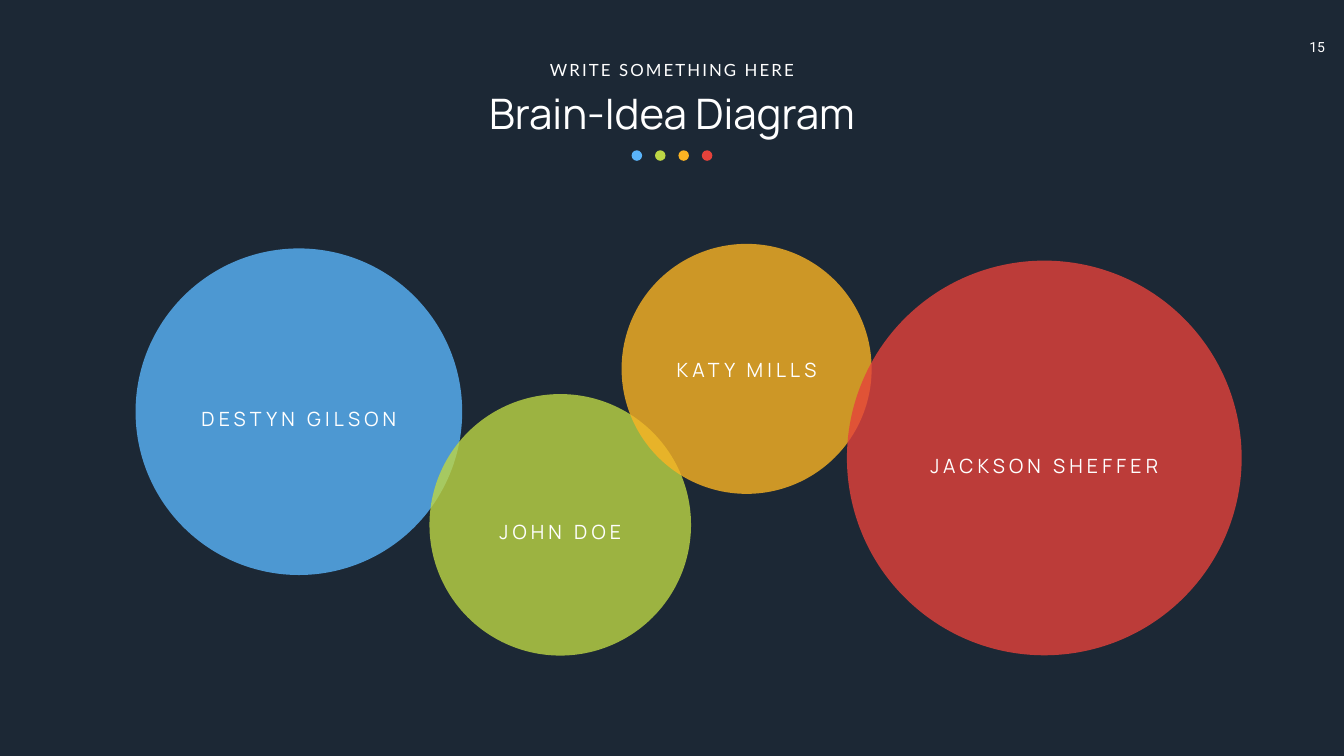
from dataclasses import dataclass

import pptx
import pptx.dml.color
import pptx.enum.shapes
import pptx.enum.text
import pptx.oxml
import pptx.oxml.ns
import pptx.util
from pptx.util import Cm

COLORS = {
    "background": "1C2835",
    "text": "FFFFFF",
    "blue": "5AB4FA",
    "green": "BDD645",
    "orange": "FAB323",
    "red": "E5423B",
}
MIDDLE = 33.86  # horizontal centre of the heading, in cm


@dataclass
class Bubble:
    name: str
    color: str
    x: float  # centre, in cm
    y: float
    diameter: float
    label_y: float


@dataclass
class Style:
    font: str
    size: float
    spacing: float = 0  # between letters, in points


BUBBLES = [
    Bubble("DESTYN GILSON", "blue", 15.06, 20.75, 16.46, 21.09),
    Bubble("JOHN DOE", "green", 28.23, 26.45, 13.18, 26.78),
    Bubble("KATY MILLS", "orange", 37.62, 18.59, 12.6, 18.61),
    Bubble("JACKSON SHEFFER", "red", 52.62, 23.08, 19.89, 23.48),
]
TITLE = Style("Manrope", 60)
SUBTITLE = Style("Lato", 24, 3)
LABEL = Style("Manrope", 28, 6)
NUMBER = Style("Roboto", 20)


def rgb(name: str) -> pptx.dml.color.RGBColor:
    return pptx.dml.color.RGBColor.from_string(COLORS[name])


def write(box, text: str, style: Style) -> None:
    """Fill a box with one centred line of text."""
    frame = box.text_frame
    frame.word_wrap = True
    frame.auto_size = pptx.enum.text.MSO_AUTO_SIZE.NONE
    frame.vertical_anchor = pptx.enum.text.MSO_ANCHOR.MIDDLE
    frame.margin_left = frame.margin_right = 0
    frame.margin_top = frame.margin_bottom = 0
    para = frame.paragraphs[0]
    para.alignment = pptx.enum.text.PP_ALIGN.CENTER
    span = para.add_run()
    span.text = text
    span.font.name = style.font
    span.font.size = pptx.util.Pt(style.size)
    span.font.color.rgb = rgb("text")
    if style.spacing:
        span.font._element.set("spc", str(int(style.spacing * 100)))


def add_text(page, text: str, style: Style, x: float, y: float,
             width: float, height: float) -> None:
    """Add a text box centred on x, y."""
    box = page.shapes.add_textbox(
        Cm(x - width / 2), Cm(y - height / 2), Cm(width), Cm(height))
    write(box, text, style)


def add_circle(page, color: str, x: float, y: float, diameter: float,
               opacity: int = 100) -> None:
    """Add a circle centred on x, y; opacity is in percent."""
    circle = page.shapes.add_shape(
        pptx.enum.shapes.MSO_SHAPE.OVAL,
        Cm(x - diameter / 2), Cm(y - diameter / 2), Cm(diameter), Cm(diameter))
    circle.shadow.inherit = False
    circle.fill.solid()
    circle.fill.fore_color.rgb = rgb(color)
    circle.line.fill.background()
    if opacity < 100:
        qn = pptx.oxml.ns.qn
        tint = circle._element.spPr.find(qn("a:solidFill")).find(qn("a:srgbClr"))
        alpha = pptx.oxml.parse_xml(
            f'<a:alpha {pptx.oxml.ns.nsdecls("a")} val="{opacity * 1000}"/>')
        tint.append(alpha)


def main() -> None:
    deck = pptx.Presentation()
    deck.slide_width, deck.slide_height = Cm(67.72), Cm(38.1)
    page = deck.slides.add_slide(deck.slide_layouts[5])
    page.background.fill.solid()
    page.background.fill.fore_color.rgb = rgb("background")

    # Heading and page number
    title = page.shapes.title
    title.left, title.top = Cm(MIDDLE - 20.4), Cm(4.27)
    title.width, title.height = Cm(40.8), Cm(2.82)
    write(title, "Brain-Idea Diagram", TITLE)
    add_text(page, "WRITE SOMETHING HERE", SUBTITLE, MIDDLE, 3.5, 13.06, 1.27)
    add_text(page, "15", NUMBER, 66.37, 2.38, 2.4, 1.37)

    # Row of dots under the title, centred
    for index, bubble in enumerate(BUBBLES):
        offset = (index - (len(BUBBLES) - 1) / 2) * 1.18
        add_circle(page, bubble.color, MIDDLE + offset, 7.84, 0.53)

    # Overlapping bubbles, then their labels on top
    for bubble in BUBBLES:
        add_circle(page, bubble.color, bubble.x, bubble.y, bubble.diameter, 80)
    for bubble in BUBBLES:
        add_text(page, bubble.name, LABEL, bubble.x, bubble.label_y,
                 bubble.diameter * 0.8, 1.45)

    deck.save("out.pptx")


if __name__ == "__main__":
    main()
